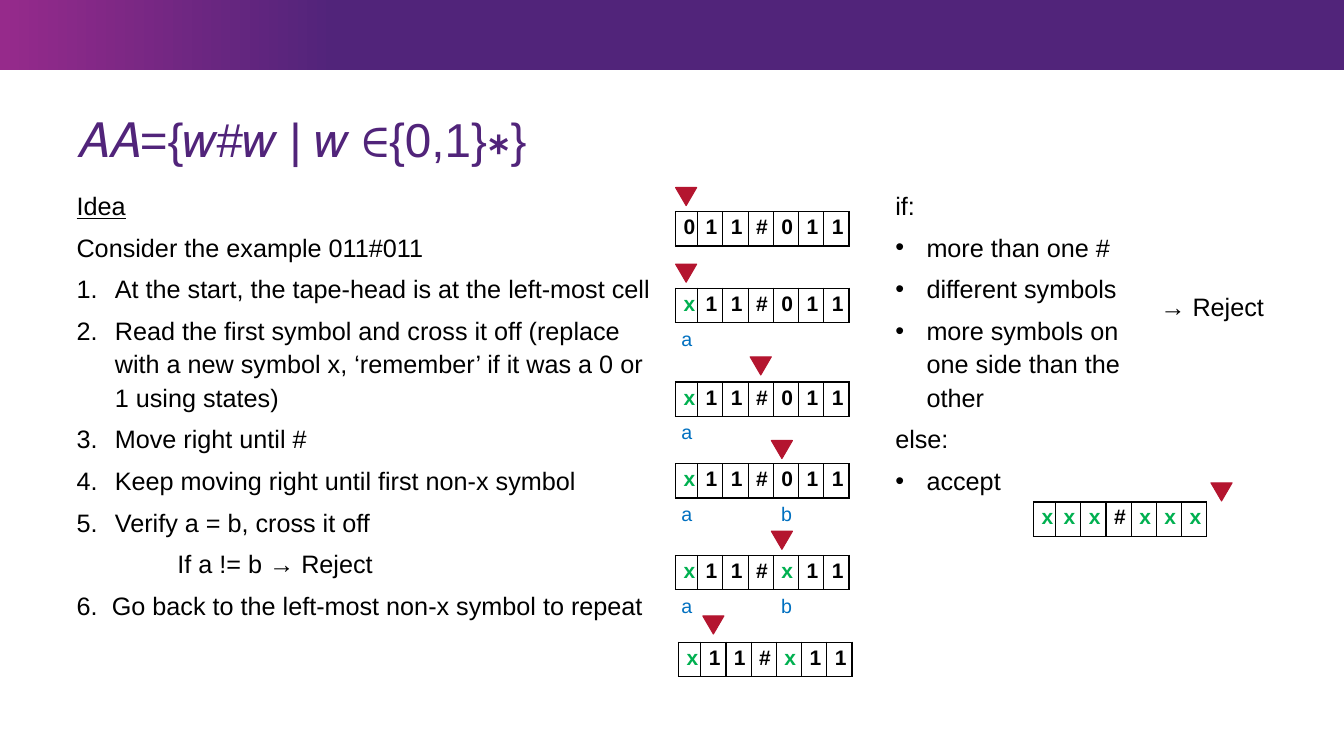
from dataclasses import dataclass

from lxml.etree import SubElement
from pptx import Presentation
from pptx.dml.color import RGBColor
from pptx.enum.shapes import MSO_SHAPE as Shape
from pptx.enum.text import MSO_ANCHOR as Anchor, MSO_AUTO_SIZE as AutoSize, PP_ALIGN as Align
from pptx.oxml.ns import qn
from pptx.util import Inches, Pt

BLACK, PURPLE, MAGENTA = "000000", "51247A", "962A8B"
RED, GREEN, BLUE = "B4152F", "00B050", "0070C0"
FIRST_CELL, CELL, CELL_HEIGHT = 0.22, 0.25, 0.34
LABEL_OFFSETS = {"a": -0.04, "b": 0.95}


@dataclass
class Tape:
    symbols: str
    left: float
    top: float
    head_left: float
    head_top: float
    labels: str = ""


@dataclass
class Line:
    text: str
    indent: float = 0
    hanging: bool = False
    bullet: str = ""
    number: int = 0
    underline: bool = False


TAPES = [
    Tape("011#011", 6.7, 2.1, 6.7, 1.86),
    Tape("x11#011", 6.7, 2.86, 6.7, 2.62, "a"),
    Tape("x11#011", 6.7, 3.79, 7.44, 3.54, "a"),
    Tape("x11#011", 6.7, 4.6, 7.65, 4.37, "ab"),
    Tape("x11#x11", 6.7, 5.51, 7.65, 5.27, "ab"),
    Tape("x11#x11", 6.73, 6.37, 6.97, 6.11),
    Tape("xxx#xxx", 10.25, 4.98, 12.01, 4.79),
]

STEPS = [
    "At the start, the tape-head is at the left-most cell",
    "Read the first symbol and cross it off (replace with a new symbol x, "
    "‘remember’ if it was a 0 or 1 using states)",
    "Move right until #",
    "Keep moving right until first non-x symbol",
    "Verify a = b, cross it off",
]
IDEA = [
    Line("Idea", underline=True),
    Line("Consider the example 011#011"),
    *(Line(step, 0.38, True, number=1) for step in STEPS),
    Line("If a != b → Reject", 1),
    Line("Go back to the left-most non-x symbol to repeat", 0.35, True, number=6),
]
OUTCOMES = [
    Line("if:"),
    Line("more than one #", 0.31, True, "•"),
    Line("different symbols", 0.31, True, "•"),
    Line("more symbols on one side than the other", 0.31, True, "•"),
    Line("else:"),
    Line("accept", 0.31, True, "•"),
]


def color(value: str) -> RGBColor:
    return RGBColor.from_string(value)


def set_font(paragraph, size: float, value: str, bold: bool = False) -> None:
    font = paragraph.font
    font.name, font.size, font.bold = "Arial", Pt(size), bold
    font.color.rgb = color(value)


def clear_margins(frame) -> None:
    frame.margin_left = frame.margin_top = frame.margin_right = frame.margin_bottom = 0


def add_label(slide, text: str, left: float, top: float, width: float, height: float,
              size: float, value: str, wrap: bool) -> None:
    frame = slide.shapes.add_textbox(
        Inches(left), Inches(top), Inches(width), Inches(height)).text_frame
    frame.word_wrap = wrap
    frame.auto_size = AutoSize.SHAPE_TO_FIT_TEXT
    frame.text = text
    set_font(frame.paragraphs[0], size, value)


def set_list(paragraph, line: Line) -> None:
    properties = paragraph._p.get_or_add_pPr()
    properties.set("marL", str(Inches(line.indent)))
    properties.set("indent", str(-Inches(line.indent) if line.hanging else 0))
    if line.bullet or line.number:
        SubElement(SubElement(properties, qn("a:buClr")), qn("a:srgbClr"), val=BLACK)
        SubElement(properties, qn("a:buFont"), typeface="Arial")
    if line.bullet:
        SubElement(properties, qn("a:buChar"), char=line.bullet)
    elif line.number:
        SubElement(properties, qn("a:buAutoNum"), type="arabicPeriod",
                   startAt=str(line.number))


def add_column(slide, left: float, width: float, lines: list[Line]) -> None:
    frame = slide.shapes.add_textbox(
        Inches(left), Inches(1.86), Inches(width), Inches(5.04)).text_frame
    frame.word_wrap = True
    clear_margins(frame)
    for index, line in enumerate(lines):
        paragraph = frame.add_paragraph() if index else frame.paragraphs[0]
        paragraph.text = line.text
        paragraph.line_spacing = 1.1
        paragraph.space_before = paragraph.space_after = Pt(3)
        set_list(paragraph, line)
        set_font(paragraph, 18, BLACK)
        if line.underline:
            paragraph.font.underline = True


def set_cell(cell, symbol: str) -> None:
    cell.text = symbol
    cell.margin_left = cell.margin_right = Inches(0.08)
    cell.margin_top = cell.margin_bottom = Inches(0.04)
    paragraph = cell.text_frame.paragraphs[0]
    paragraph.alignment = Align.CENTER
    set_font(paragraph, 15, GREEN if symbol == "x" else BLACK, bold=True)
    properties = cell._tc.get_or_add_tcPr()
    for side in ("a:lnL", "a:lnR", "a:lnT", "a:lnB"):
        border = SubElement(properties, qn(side), w=str(Pt(1)))
        SubElement(SubElement(border, qn("a:solidFill")), qn("a:srgbClr"), val=BLACK)
    cell.fill.background()


def add_tape(slide, tape: Tape) -> None:
    count = len(tape.symbols)
    table = slide.shapes.add_table(
        1, count, Inches(tape.left), Inches(tape.top),
        Inches(FIRST_CELL + CELL * (count - 1)), Inches(CELL_HEIGHT)).table
    table.first_row = table.horz_banding = False
    for index, symbol in enumerate(tape.symbols):
        table.columns[index].width = Inches(CELL if index else FIRST_CELL)
        set_cell(table.cell(0, index), symbol)

    head = slide.shapes.add_shape(
        Shape.ISOSCELES_TRIANGLE, Inches(tape.head_left), Inches(tape.head_top),
        Inches(0.21), Inches(0.18))
    head.rotation = 180
    head.shadow.inherit = False
    head.fill.solid()
    head.fill.fore_color.rgb = head.line.color.rgb = color(RED)
    head.line.width = Pt(0.75)

    for label in tape.labels:
        add_label(slide, label, tape.left + LABEL_OFFSETS[label], tape.top + 0.33,
                  0.31, 0.34, 14, BLUE, wrap=False)


def add_banner(slide) -> None:
    banner = slide.shapes.add_shape(Shape.RECTANGLE, 0, 0, Inches(13.33), Inches(0.69))
    banner.shadow.inherit = False
    banner.line.fill.background()
    banner.fill.gradient()
    banner.fill.gradient_angle = 0
    for stop, position, value in zip(
            banner.fill.gradient_stops, (0, 0.25), (MAGENTA, PURPLE)):
        stop.position = position
        stop.color.rgb = color(value)


def set_title(slide) -> None:
    title = slide.shapes.title
    title.left, title.top = Inches(0.76), Inches(1.15)
    title.width, title.height = Inches(11.81), Inches(0.51)
    frame = title.text_frame
    frame.text = "𝐴𝐴={𝑤#𝑤 | 𝑤 ∈{0,1}∗}"
    frame.vertical_anchor = Anchor.MIDDLE
    frame.auto_size = AutoSize.NONE
    clear_margins(frame)
    paragraph = frame.paragraphs[0]
    paragraph.alignment = Align.LEFT
    paragraph.line_spacing = 0.9
    set_font(paragraph, 34, PURPLE)


def main() -> None:
    """Build the slide that traces a Turing machine on 011#011."""
    deck = Presentation()
    deck.slide_width, deck.slide_height = Inches(13.33), Inches(7.5)
    slide = deck.slides.add_slide(deck.slide_layouts[5])
    add_banner(slide)
    set_title(slide)
    add_column(slide, 0.76, 5.74, IDEA)
    add_column(slide, 8.88, 2.66, OUTCOMES)
    for tape in TAPES:
        add_tape(slide, tape)
    add_label(slide, "→ Reject", 11.41, 2.84, 1.62, 0.4, 18, BLACK, wrap=True)
    deck.save("out.pptx")


if __name__ == "__main__":
    main()
